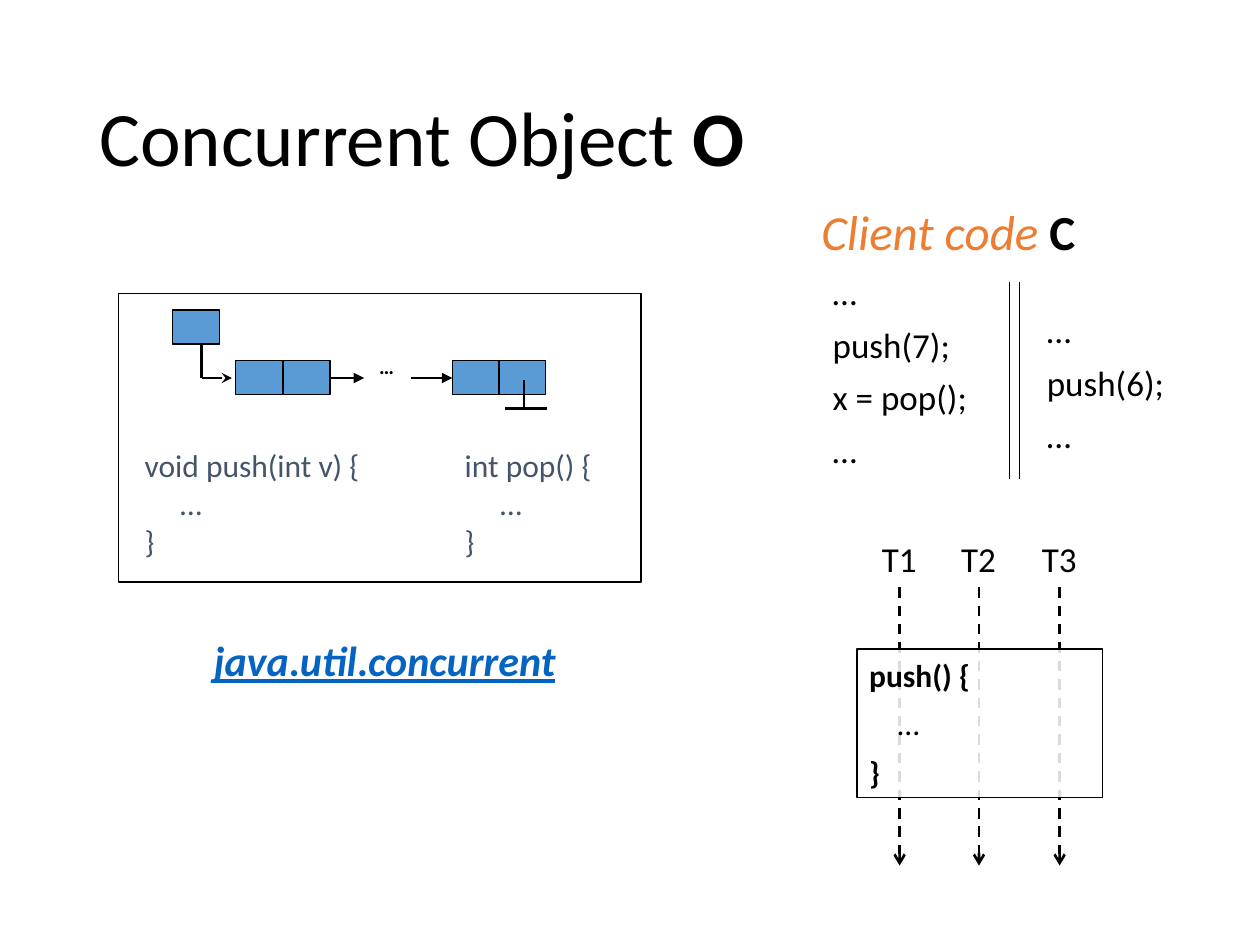
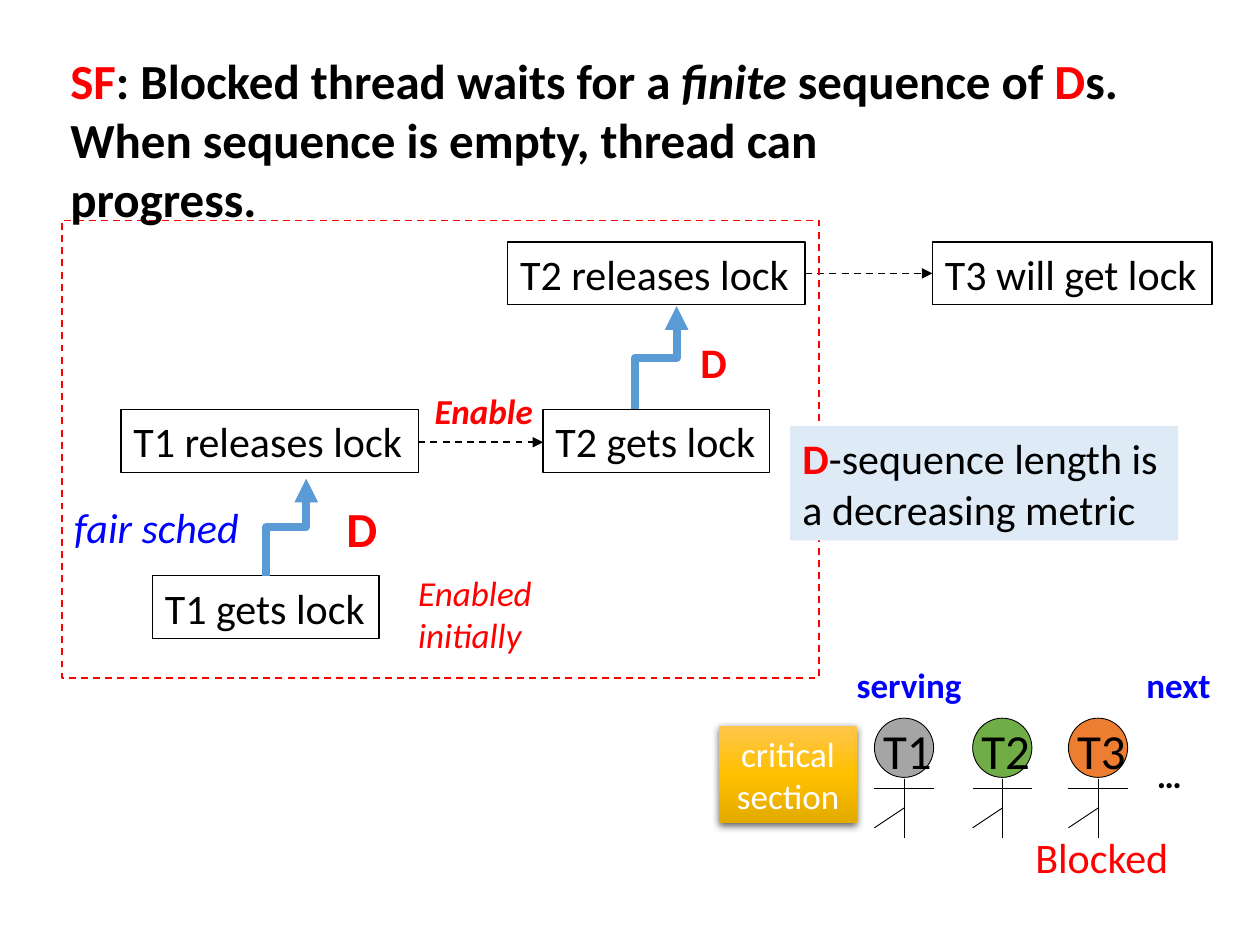
"""Build two slides on concurrent objects and starvation freedom."""
from pptx import Presentation
from pptx.dml.color import RGBColor
from pptx.enum.dml import MSO_LINE
from pptx.enum.shapes import MSO_CONNECTOR as Link, MSO_SHAPE as Preset
from pptx.enum.text import MSO_ANCHOR as Anchor, MSO_AUTO_SIZE as AutoSize, PP_ALIGN as Align
from pptx.oxml import parse_xml
from pptx.oxml.ns import nsdecls, qn
from pptx.oxml.xmlchemy import OxmlElement
from pptx.util import Pt

PX = 9144
FONT = "Calibri"
BLACK = RGBColor(0x00, 0x00, 0x00)
WHITE = RGBColor(0xFF, 0xFF, 0xFF)
RED = RGBColor(0xFF, 0x00, 0x00)
BLUE = RGBColor(0x00, 0x00, 0xFF)
STEEL = RGBColor(0x5B, 0x9B, 0xD5)
PALE = RGBColor(0xDE, 0xEB, 0xF7)
SLATE = RGBColor(0x44, 0x54, 0x6A)
LINK = RGBColor(0x05, 0x63, 0xC1)
ORANGE = RGBColor(0xED, 0x7D, 0x31)
GREEN = RGBColor(0x70, 0xAD, 0x47)
GREY = RGBColor(0xA5, 0xA5, 0xA5)
GOLD_STOPS = ((0, "FFC64B"), (50, "FFC000"), (100, "E3AB00"))


class Deck:
    """Hold the shared style and draw on the current slide."""

    def __init__(self):
        self.presentation = Presentation()
        self.presentation.slide_width = 1000 * PX
        self.presentation.slide_height = 750 * PX
        self.slide = None

    def new_slide(self):
        layout = self.presentation.slide_layouts[6]
        self.slide = self.presentation.slides.add_slide(layout)

    def fill_text(self, frame, lines, size, color=BLACK, style="", align=Align.LEFT,
                  gap=0, indent=0, spacing=None):
        """Fill a frame; a line is a string or a list of (text, style, color)."""
        for index, line in enumerate(lines):
            paragraph = frame.add_paragraph() if index else frame.paragraphs[0]
            paragraph.alignment = align
            if index and gap:
                paragraph.space_before = Pt(gap)
            if spacing:
                paragraph.line_spacing = spacing
            if indent:
                properties = paragraph._p.get_or_add_pPr()
                properties.set("marL", str(indent * PX))
                properties.set("indent", "0")
            parts = [(line, style, color)] if isinstance(line, str) else line
            for text, run_style, run_color in parts:
                run = paragraph.add_run()
                run.text = text
                font = run.font
                font.name, font.size = FONT, Pt(size)
                font.color.rgb = run_color
                font.bold = "b" in run_style
                font.italic = "i" in run_style
                font.underline = "u" in run_style

    def text(self, box, lines, size, wrap=False, anchor=Anchor.TOP, insets=None, **style):
        shape = self.slide.shapes.add_textbox(*(value * PX for value in box))
        frame = shape.text_frame
        frame.word_wrap = wrap
        frame.vertical_anchor = anchor
        frame.auto_size = AutoSize.NONE if anchor == Anchor.MIDDLE else AutoSize.SHAPE_TO_FIT_TEXT
        if insets:
            frame.margin_top, frame.margin_bottom = (value * PX for value in insets)
        self.fill_text(frame, lines, size, **style)

    def title(self, box, line, size):
        self.text(box, [line], size, wrap=True, anchor=Anchor.MIDDLE, spacing=0.9)

    def stroke(self, line, color, weight, dashed):
        line.color.rgb = color
        line.width = Pt(weight)
        if dashed:
            line.dash_style = MSO_LINE.DASH

    def shape(self, box, fill=None, line=BLACK, weight=0.75, dashed=False, preset=Preset.RECTANGLE):
        shape = self.slide.shapes.add_shape(preset, *(value * PX for value in box))
        shape.shadow.inherit = False
        if fill is None:
            shape.fill.background()
        else:
            shape.fill.solid()
            shape.fill.fore_color.rgb = fill
        if line is None:
            shape.line.fill.background()
        else:
            self.stroke(shape.line, line, weight, dashed)
        return shape

    def label_box(self, box, lines, size, wrap=True, fill=None, line=BLACK, weight=0.75, **style):
        shape = self.shape(box, fill, line, weight)
        shape.text_frame.word_wrap = wrap
        self.fill_text(shape.text_frame, lines, size, **style)
        return shape

    def line(self, x1, y1, x2, y2, weight=0.75, head=None, color=BLACK, dashed=False,
             kind=Link.STRAIGHT):
        points = (value * PX for value in (x1, y1, x2, y2))
        connector = self.slide.shapes.add_connector(kind, *map(round, points))
        self.stroke(connector.line, color, weight, dashed)
        if head:
            tail = OxmlElement("a:tailEnd")
            tail.set("type", head)
            connector.element.spPr.find(qn("a:ln")).append(tail)
        connector.element.spPr.append(OxmlElement("a:effectLst"))
        return connector

    def rising_arrow(self, x1, y1, x2, y2):
        """Draw an elbow that leaves upwards, as a quarter-turned connector."""
        middle_x, middle_y = (x1 + x2) / 2, (y1 + y2) / 2
        half_rise, half_run = (y1 - y2) / 2, (x2 - x1) / 2
        connector = self.line(middle_x + half_rise, middle_y + half_run,
                              middle_x - half_rise, middle_y - half_run,
                              4.5, "triangle", STEEL, kind=Link.ELBOW)
        connector.element.spPr.find(qn("a:xfrm")).set("rot", "5400000")

    def translucent(self, shape, percent):
        alpha = OxmlElement("a:alpha")
        alpha.set("val", str(percent * 1000))
        shape.element.spPr.find(qn("a:solidFill"))[0].append(alpha)

    def gold_with_shadow(self, shape):
        properties = shape.element.spPr
        stops = "".join(f'<a:gs pos="{place * 1000}"><a:srgbClr val="{color}"/></a:gs>'
                        for place, color in GOLD_STOPS)
        gradient = parse_xml(f'<a:gradFill {nsdecls("a")}><a:gsLst>{stops}</a:gsLst>'
                             '<a:lin ang="5400000" scaled="0"/></a:gradFill>')
        properties.replace(properties.find(qn("a:noFill")), gradient)
        properties.find(qn("a:effectLst")).append(parse_xml(
            f'<a:outerShdw {nsdecls("a")} blurRad="57150" dist="19050" dir="5400000" '
            'algn="ctr" rotWithShape="0"><a:srgbClr val="000000"><a:alpha val="63000"/>'
            '</a:srgbClr></a:outerShdw>'))

    def thread(self, name, left, color):
        """Draw a stick figure with its name on the head."""
        middle = left + 24
        self.shape((left, 570, 47, 47), color, weight=0.5, preset=Preset.OVAL)
        for points in ((left, 626, left + 47, 626), (middle, 618, middle, 665),
                       (middle, 641, left, 657)):
            self.line(*points, weight=0.5)
        self.text((left - 3, 567, 59, 57), [name], 28)


def object_slide(deck):
    deck.new_slide()
    deck.shape((94, 233, 415, 229), weight=1)
    for x in (801, 809):
        deck.line(x, 224, x, 380)
    deck.text((648, 210, 131, 170), ["…", "push(7);", "x = pop();", "…"], 20, gap=6, indent=3)
    deck.text((818, 240, 117, 128), ["…", "push(6);", "…"], 20, gap=6, indent=3)
    deck.text((639, 162, 236, 47), [[("Client code ", "i", ORANGE), ("C", "b", BLACK)]], 28,
              wrap=True, anchor=Anchor.MIDDLE, insets=(0, 5), indent=3)
    deck.text((160, 499, 294, 50), [[("java", "biu", LINK), (".", "bu", LINK),
                                     ("util", "biu", LINK), (".", "bu", LINK),
                                     ("concurrent", "biu", LINK)]], 24)

    for left, width, signature in ((105, 231, "void push(int v) {"), (359, 136, "int pop() {")):
        deck.text((left, 349, width, 101), [signature, "     …", "}"], 18, wrap=True, color=SLATE)
    for left, top in ((137, 246), (187, 286), (225, 286), (359, 286), (396, 286)):
        deck.shape((left, top, 37, 27), STEEL)
    for start, end in ((262, 289), (326, 359)):
        deck.line(start, 300, end, 300, head="triangle")
    deck.text((291, 276, 35, 44), ["…"], 12, wrap=True, style="b")
    for points in ((416, 302, 416, 324), (401, 324, 434, 324), (160, 273, 160, 300)):
        deck.line(*points, weight=1.5)
    deck.line(160, 300, 184, 300, 1.5, "stealth")

    deck.title((69, 40, 862, 145), [("Concurrent Object ", "", BLACK), ("O", "b", BLACK)], 44)
    for name, x in (("T1", 714), ("T2", 777), ("T3", 841)):
        deck.line(x, 466, x, 687, 1.5, "arrow", dashed=True)
        deck.text((x - 24, 422, 48, 44), [name], 20)
    method = deck.label_box((680, 515, 195, 118),
                            ["push() {", [("    ", "b", BLACK), ("…", "", BLACK)], "}"],
                            18, fill=WHITE, weight=1, style="b", gap=6)
    deck.translucent(method, 86)


def fairness_slide(deck):
    deck.new_slide()
    section = deck.label_box((571, 576, 109, 77), ["critical section"], 20, line=None,
                             color=WHITE, align=Align.CENTER)
    deck.gold_with_shadow(section)
    for box, word in (((670, 522, 104, 44), "serving"), ((900, 522, 72, 44), "next")):
        deck.text(box, [word], 20, color=BLUE, style="b")
    deck.text((908, 593, 40, 44), ["…"], 20, style="b", align=Align.CENTER)
    deck.text((811, 655, 127, 50), ["Blocked"], 24, color=RED, align=Align.CENTER)
    for name, left, color in (("T3", 848, ORANGE), ("T2", 772, GREEN), ("T1", 694, GREY)):
        deck.thread(name, left, color)

    for left, top, width, event in ((740, 192, 222, "T3 will get lock"),
                                    (403, 192, 236, "T2 releases lock"),
                                    (431, 325, 180, "T2 gets lock"),
                                    (96, 325, 236, "T1 releases lock"),
                                    (121, 457, 180, "T1 gets lock")):
        deck.label_box((left, top, width, 50), [event], 24, wrap=False)
    deck.rising_arrow(504, 325, 537, 243)
    deck.rising_arrow(211, 457, 243, 380)
    deck.text((546, 262, 41, 50), ["D"], 24, color=RED, style="b")
    deck.text((265, 391, 45, 57), ["D"], 28, color=RED, style="b")
    deck.text((322, 449, 111, 77), ["Enabled", "initially"], 20, color=RED, style="i")
    for start, end, y in ((639, 740, 217), (332, 431, 351)):
        deck.line(start, y, end, y, 1, "triangle", dashed=True)

    deck.title((46, 30, 915, 72), [("SF", "b", RED), (": Blocked thread waits for a ", "b", BLACK),
                                   ("finite", "bi", BLACK), (" sequence of ", "b", BLACK),
                                   ("D", "b", RED), ("s.", "b", BLACK)], 28)
    deck.text((335, 304, 99, 44), ["Enable"], 20, color=RED, style="bi")
    deck.text((49, 393, 155, 50), ["fair sched"], 24, color=BLUE, style="i")
    deck.shape((49, 175, 601, 363), line=RED, weight=1, dashed=True)
    deck.label_box((627, 338, 308, 91), [[("D", "b", RED),
                                          ("-sequence length is a decreasing metric", "", BLACK)]],
                   24, fill=PALE, line=None)
    deck.text((46, 82, 755, 57), ["When sequence is empty, thread can progress."], 28,
              wrap=True, style="b")


def main():
    deck = Deck()
    object_slide(deck)
    fairness_slide(deck)
    deck.presentation.save("out.pptx")


if __name__ == "__main__":
    main()
